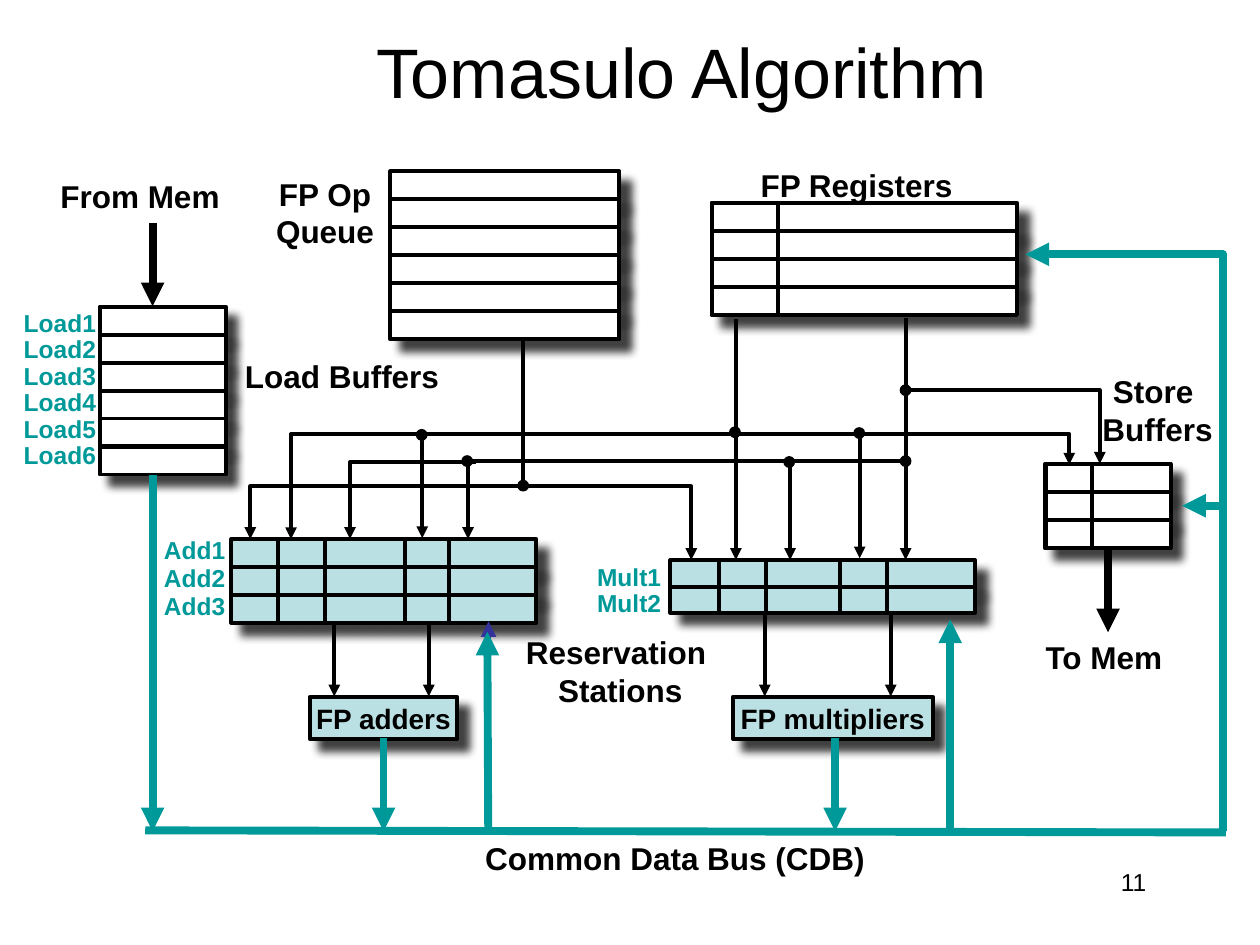
import pptx
import pptx.dml.color
import pptx.enum.shapes
import pptx.enum.text
import pptx.oxml.ns
import pptx.util
from lxml import etree

Pt = pptx.util.Pt
BLACK = pptx.dml.color.RGBColor(0x00, 0x00, 0x00)
WHITE = pptx.dml.color.RGBColor(0xFF, 0xFF, 0xFF)
TEAL = pptx.dml.color.RGBColor(0x00, 0x99, 0x99)
PALE = pptx.dml.color.RGBColor(0xBB, 0xE0, 0xE3)
INDIGO = pptx.dml.color.RGBColor(0x33, 0x33, 0x99)
THIN, THICK = 2.25, 4.5
ALIGN = pptx.enum.text.PP_ALIGN
ANCHOR = pptx.enum.text.MSO_ANCHOR
SHAPES = pptx.enum.shapes.MSO_SHAPE


class Diagram:
    """Draws the parts of a block diagram on one slide, measured in points."""

    def __init__(self, slide):
        self.shapes = slide.shapes

    def set_text(self, frame, text, size, color=BLACK, bold=True, spacing=1.0,
                 align=ALIGN.CENTER, anchor=ANCHOR.MIDDLE, wrap=False):
        frame.word_wrap = wrap
        frame.vertical_anchor = anchor
        style = {"name": "Arial", "size": Pt(size), "bold": bold}
        for index, line in enumerate(text.split("\n")):
            paragraph = frame.paragraphs[0] if index == 0 else frame.add_paragraph()
            paragraph.text = line
            paragraph.alignment = align
            paragraph.line_spacing = spacing
            for name, value in style.items():
                setattr(paragraph.font, name, value)
            paragraph.font.color.rgb = color

    def label(self, text, left, top, width, height, size=18, **style):
        box = self.shapes.add_textbox(Pt(left), Pt(top), Pt(width), Pt(height))
        self.set_text(box.text_frame, text, size, **style)

    def block(self, left, top, width, height, fill=None, kind=SHAPES.RECTANGLE, line=THIN):
        block = self.shapes.add_shape(kind, Pt(left), Pt(top), Pt(width), Pt(height))
        block.shadow.inherit = False
        if fill is None:
            block.fill.background()
        else:
            block.fill.solid()
            block.fill.fore_color.rgb = fill
        block.line.color.rgb = BLACK
        block.line.width = Pt(line)
        return block

    def raised(self, left, top, width, height, fill):
        block = self.block(left, top, width, height, fill)
        effects = block._element.spPr.find(pptx.oxml.ns.qn("a:effectLst"))
        shadow = etree.SubElement(effects, pptx.oxml.ns.qn("a:outerShdw"), blurRad=str(Pt(5)),
                                  dist=str(Pt(8.5)), dir="2700000", algn="tl", rotWithShape="0")
        color = etree.SubElement(shadow, pptx.oxml.ns.qn("a:srgbClr"), val=str(BLACK))
        etree.SubElement(color, pptx.oxml.ns.qn("a:alpha"), val="75000")
        return block

    def bank(self, left, top, width, rows, pitch=16, fill=WHITE, columns=()):
        for row in range(rows):
            self.raised(left, top + row * pitch, width, pitch, fill)
        for column_left, column_width in columns:
            self.block(column_left, top, column_width, rows * pitch)

    def unit(self, text, left, width):
        self.set_text(self.raised(left, 398.2, width, 24, PALE).text_frame, text, 16)

    def stroke(self, shape, color, width, arrow):
        shape.line.color.rgb = color
        shape.line.width = Pt(width)
        if arrow:
            etree.SubElement(shape.line._get_or_add_ln(), pptx.oxml.ns.qn("a:tailEnd"),
                             type="triangle")

    def wire(self, start, end, color=BLACK, width=THIN, arrow=True):
        wire = self.shapes.add_connector(pptx.enum.shapes.MSO_CONNECTOR.STRAIGHT,
                                         *map(Pt, start + end))
        self.stroke(wire, color, width, arrow)
        etree.SubElement(wire._element.spPr, pptx.oxml.ns.qn("a:effectLst"))

    def route(self, *points, color=BLACK, width=THIN):
        corners = [(Pt(x), Pt(y)) for x, y in points]
        builder = self.shapes.build_freeform(*corners[0])
        builder.add_line_segments(corners[1:], close=False)
        route = builder.convert_to_shape()
        route.shadow.inherit = False
        route.fill.background()
        self.stroke(route, color, width, True)

    def junction(self, x, y):
        self.block(x - 3, y - 3, 6, 6, BLACK, SHAPES.OVAL, 0.75)


def main():
    deck = pptx.Presentation()
    deck.slide_width, deck.slide_height = Pt(720), Pt(540)
    diagram = Diagram(deck.slides.add_slide(deck.slide_layouts[6]))

    diagram.label("Tomasulo Algorithm", 58.5, 0, 661.5, 81, 40, bold=False, wrap=True)
    diagram.label("11 ", 516, 492, 150, 36, 14, bold=False, wrap=True,
                  align=ALIGN.RIGHT, anchor=ANCHOR.TOP)

    diagram.bank(57, 175.2, 72, 6)
    diagram.bank(223, 98, 131, 6)
    diagram.bank(406.8, 116, 174.3, 4, columns=[(406.8, 38)])
    diagram.bank(597, 265.2, 72, 3, columns=[(597.6, 26.6)])
    diagram.bank(132.2, 308, 174.3, 3, fill=PALE, columns=[(159, 26.6), (231.2, 25.2)])
    diagram.bank(383, 320.2, 174.3, 2, 15, PALE, [(411, 26.6), (480.2, 26.6)])
    diagram.unit("FP adders", 177, 84.3)
    diagram.unit("FP multipliers", 418.8, 114.2)

    for x, top in [(191, 356), (245, 356), (437, 350), (509, 350)]:
        diagram.wire((x, top), (x, 398))

    diagram.route((299, 194.5), (299, 278), (143, 278), (143, 308))
    diagram.route((299, 278), (395, 278), (395, 320))
    diagram.route((420.5, 182), (420.5, 248), (166.3, 248), (166.3, 308))
    diagram.route((517, 263.5), (267.5, 263.5), (267.5, 308))
    diagram.route((517.5, 223), (628.5, 223), (628.5, 265))
    diagram.route((416, 248), (491.3, 248), (491.3, 319))
    diagram.route((272, 264), (200, 264), (200, 308))
    diagram.route((477, 248), (611, 248), (611, 265.5))
    for x, top, bottom in [(420.5, 248, 320), (517.5, 182, 320), (451.5, 265, 320),
                           (241.3, 247, 307.5)]:
        diagram.wire((x, top), (x, bottom))
    for x, y in [(299, 277.5), (420, 247), (241, 248.5), (451, 264), (517.5, 263.5),
                 (517.5, 223), (267, 263.5), (491, 247.5)]:
        diagram.junction(x, y)

    diagram.wire((279.2, 451), (279.2, 355), INDIGO, 3)
    diagram.wire((83, 474.5), (700.5, 475.7), TEAL, THICK, arrow=False)
    diagram.route((699, 475), (699, 145.3), (586, 145.3), color=TEAL, width=THICK)
    for start, end in [((699, 289), (675.5, 289)), ((87.2, 271.5), (87.2, 475)),
                       ((477.2, 421.5), (477.2, 475)), ((219.2, 421.5), (219.2, 475)),
                       ((279, 475), (278.5, 361)), ((543, 475), (543, 354))]:
        diagram.wire(start, end, TEAL, THICK)
    diagram.wire((87.2, 127.5), (87.2, 175), width=THICK)
    diagram.wire((633.2, 313.5), (633.2, 361.3), width=THICK)

    for text, left, top, width, height in [
            ("From Mem", 27, 97.5, 106, 29),
            ("FP Op\nQueue", 150.5, 95.8, 70.5, 51),
            ("FP Registers", 427, 91, 125, 29),
            ("Load Buffers", 132, 200.5, 127, 29),
            ("Store \nBuffers", 622.5, 208.8, 78, 51),
            ("Reservation \nStations", 293, 358, 123, 51),
            ("To Mem", 590, 361, 81.5, 29),
            ("Common Data Bus (CDB)", 269, 476, 233.5, 29)]:
        diagram.label(text, left, top, width, height)

    for name, count, left, top, width, height, spacing in [
            ("Load", 6, 6.5, 173.5, 55.5, 99.4, 0.9),
            ("Add", 3, 86.4, 302.4, 49.7, 57, 0.95),
            ("Mult", 2, 334, 319, 51, 38, 0.9)]:
        entries = "\n".join(f"{name}{number}" for number in range(1, count + 1))
        diagram.label(entries, left, top, width, height, 14, color=TEAL, spacing=spacing)

    deck.save("out.pptx")


if __name__ == "__main__":
    main()
